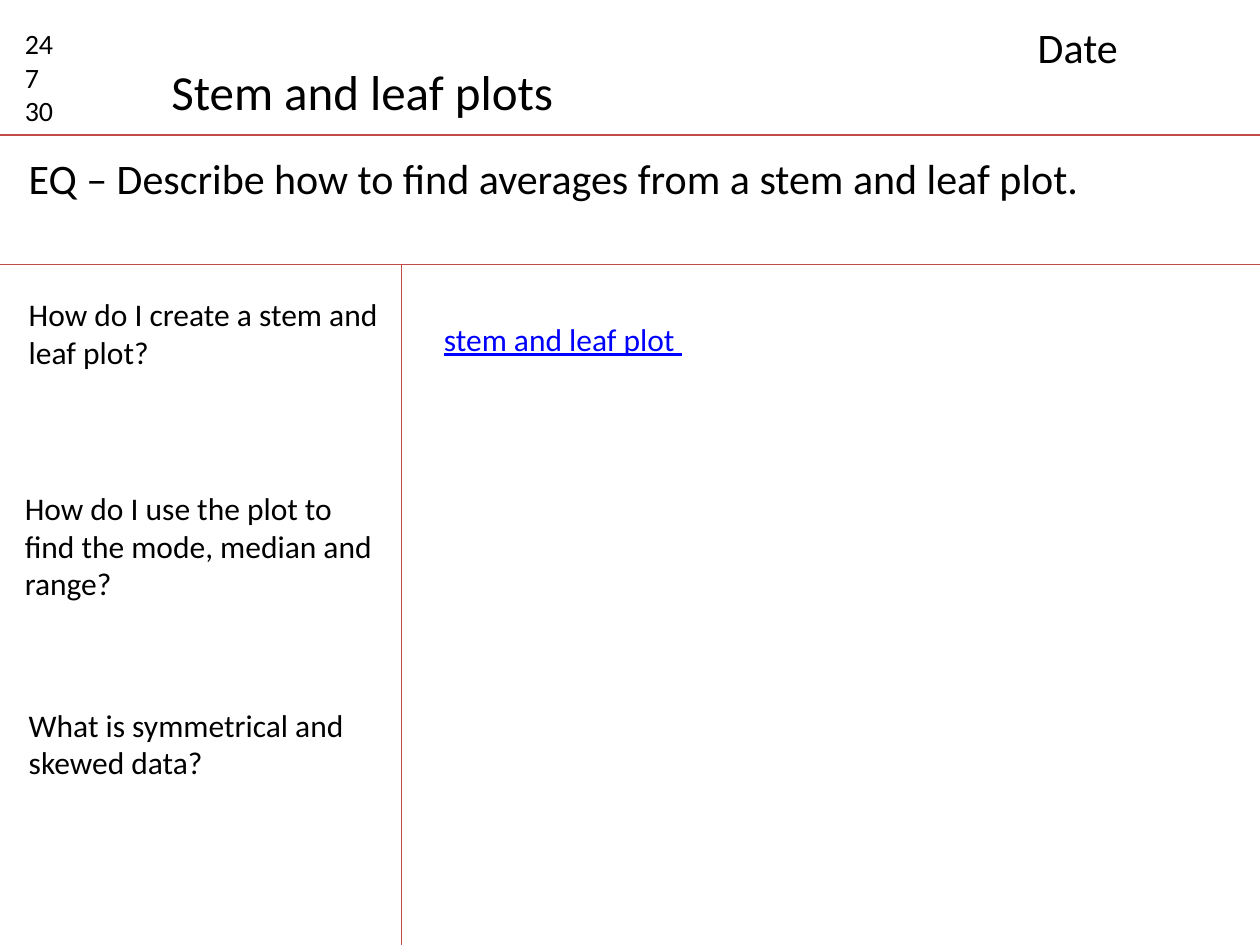
from lxml import etree
from pptx import Presentation
from pptx.dml.color import RGBColor
from pptx.enum.shapes import MSO_CONNECTOR
from pptx.enum.text import MSO_ANCHOR, MSO_AUTO_SIZE, PP_ALIGN
from pptx.oxml.ns import qn
from pptx.util import Cm, Pt

STRAIGHT = MSO_CONNECTOR.STRAIGHT
TOP = MSO_ANCHOR.TOP
NO_AUTOFIT = MSO_AUTO_SIZE.NONE
LEFT = PP_ALIGN.LEFT

BLACK = RGBColor(0x00, 0x00, 0x00)
LINK_BLUE = RGBColor(0x00, 0x00, 0xFF)
RULE_RED = RGBColor(0xBF, 0x4C, 0x48)
FONT = "Calibri"

SLIDE_WIDTH, SLIDE_HEIGHT = 25.4, 19.05
HEADER_BOTTOM, QUESTION_BOTTOM = 2.72, 5.33
CUE_COLUMN_RIGHT = 8.1


def add_rule(slide, start_x, start_y, end_x, end_y):
    rule = slide.shapes.add_connector(
        STRAIGHT, Cm(start_x), Cm(start_y), Cm(end_x), Cm(end_y))
    rule.line.color.rgb = RULE_RED
    rule.line.width = Pt(0.75)
    etree.SubElement(rule._element.spPr, qn("a:effectLst"))


def write_text(shape, lines, size, color=BLACK, underline=None, wrap=True):
    """Fill a text shape with one left-aligned paragraph per line."""
    frame = shape.text_frame
    frame.word_wrap = wrap
    frame.auto_size = NO_AUTOFIT
    frame.vertical_anchor = TOP
    for index, line in enumerate(lines):
        paragraph = frame.add_paragraph() if index else frame.paragraphs[0]
        paragraph.alignment = LEFT
        run = paragraph.add_run()
        run.text = line
        run.font.name = FONT
        run.font.size = Pt(size)
        run.font.color.rgb = color
        run.font.underline = underline


def add_text(slide, left, top, width, height, lines, size, **style):
    box = slide.shapes.add_textbox(Cm(left), Cm(top), Cm(width), Cm(height))
    write_text(box, lines, size, **style)


def place_title(slide, left, top, width, height, text, size):
    title = slide.shapes.title
    title.left, title.top = Cm(left), Cm(top)
    title.width, title.height = Cm(width), Cm(height)
    write_text(title, [text], size, wrap=False)


def main():
    presentation = Presentation()
    presentation.slide_width = Cm(SLIDE_WIDTH)
    presentation.slide_height = Cm(SLIDE_HEIGHT)
    slide = presentation.slides.add_slide(presentation.slide_layouts[5])

    for y in (HEADER_BOTTOM, QUESTION_BOTTOM):
        add_rule(slide, 0, y, SLIDE_WIDTH, y)
    add_rule(slide, CUE_COLUMN_RIGHT, QUESTION_BOTTOM,
             CUE_COLUMN_RIGHT, SLIDE_HEIGHT)

    add_text(slide, 0.25, 0.41, 1.6, 2.31, ["24", "7", "30"], 16)
    place_title(slide, 3.2, 1.12, 8.51, 1.45, "Stem and leaf plots", 28)
    add_text(slide, 20.67, 0.3, 4.39, 1.27, ["Date"], 24)
    add_text(slide, 0.33, 2.95, 23.95, 1.27,
             ["EQ – Describe how to find averages from a stem and leaf plot."], 24)
    add_text(slide, 8.7, 6.32, 5.36, 1.02, ["stem and leaf plot "], 18,
             color=LINK_BLUE, underline=True, wrap=False)

    cues = (
        (0.33, 5.82, 7.57, 1.8, "How do I create a stem and leaf plot?"),
        (0.25, 9.73, 7.65, 5.64,
         "How do I use the plot to find the mode, median and range?"),
        (0.33, 14.1, 7.14, 1.8, "What is symmetrical and skewed data?"),
    )
    for left, top, width, height, cue in cues:
        add_text(slide, left, top, width, height, [cue], 18)

    presentation.save("out.pptx")


if __name__ == "__main__":
    main()
